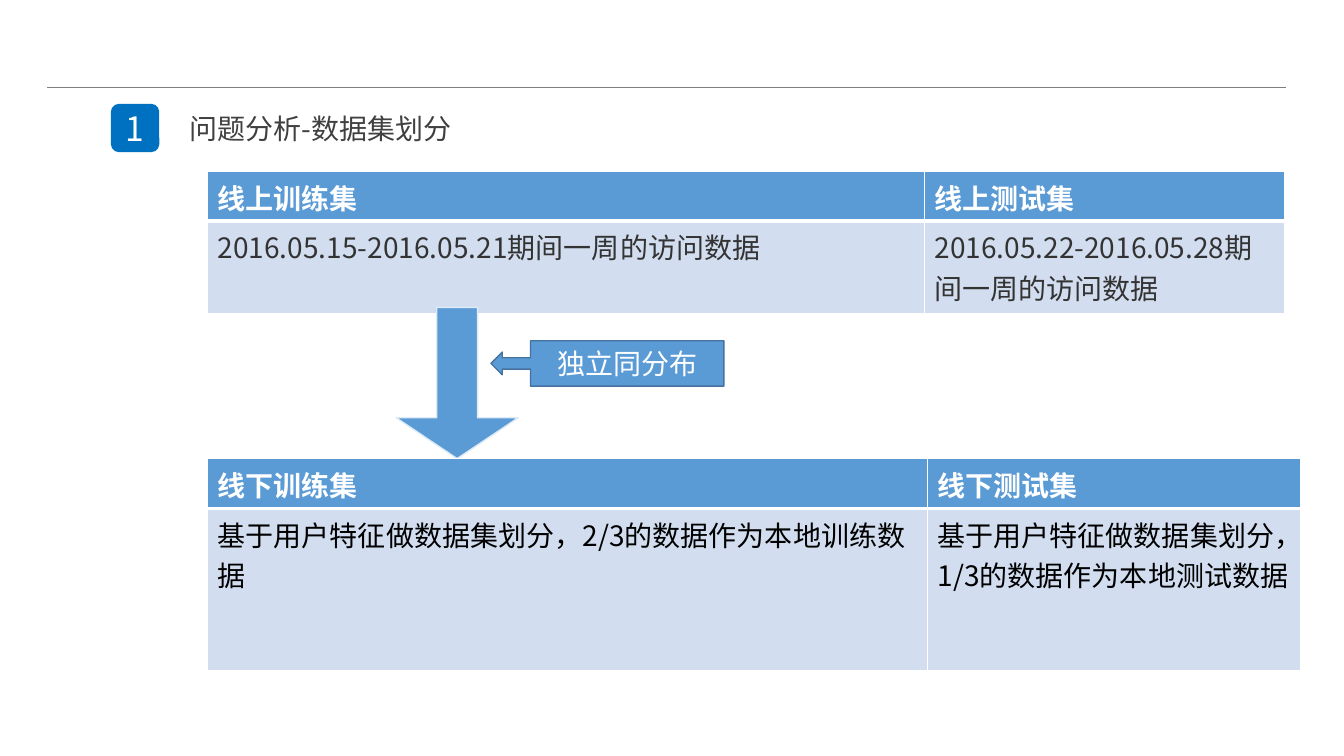
import pptx
import pptx.dml.color
import pptx.enum.shapes
import pptx.enum.text
import pptx.oxml
import pptx.oxml.ns
import pptx.util
from lxml import etree

WIDE, HIGH = pptx.util.Inches(13.33), pptx.util.Inches(7.5)
SHAPE = pptx.enum.shapes.MSO_SHAPE
SANS, LATIN = "Noto Sans CJK SC", "Noto Sans CJK JP"
BLUE, PALE, WHITE = "5B9BD5", "D2DEEF", "FFFFFF"
LEFT = 15.45  # shared left edge of both tables and their columns


def col(share):
    """Length for a percentage of the slide width."""
    return round(WIDE * share / 100)


def row(share):
    """Length for a percentage of the slide height."""
    return round(HIGH * share / 100)


def area(x, y, w, h):
    return col(x), row(y), col(w), row(h)


def rgb(code):
    return pptx.dml.color.RGBColor.from_string(code)


def paint(fill, code):
    fill.solid()
    fill.fore_color.rgb = rgb(code)


def write(frame, text, color, size=20, face=SANS, bold=False, center=False):
    frame.text = text
    frame.word_wrap = True
    para = frame.paragraphs[0]
    if center:
        para.alignment = pptx.enum.text.PP_ALIGN.CENTER
    for run in para.runs:
        font = run.font
        font.name, font.size, font.bold = face, pptx.util.Pt(size), bold
        font.color.rgb = rgb(color)
        east = etree.SubElement(font._element, pptx.oxml.ns.qn("a:ea"))
        east.set("typeface", face)


def add_rule(slide, x1, x2, y, color):
    line = slide.shapes.add_connector(
        pptx.enum.shapes.MSO_CONNECTOR.STRAIGHT, col(x1), row(y), col(x2), row(y))
    line.line.color.rgb = rgb(color)
    line.line.width = pptx.util.Pt(0.5)
    etree.SubElement(line._element.spPr, pptx.oxml.ns.qn("a:effectLst"))


def add_form(slide, kind, box, fill, edge=None, adjust=(), text="", size=20):
    form = slide.shapes.add_shape(kind, *area(*box))
    form.shadow.inherit = False
    paint(form.fill, fill)
    if edge:
        form.line.color.rgb = rgb(edge)
        form.line.width = pptx.util.Pt(1)
    else:
        form.line.fill.background()
    for index, value in enumerate(adjust):
        form.adjustments[index] = value
    if text:
        write(form.text_frame, text, WHITE, size, center=True)
        form.text_frame.vertical_anchor = pptx.enum.text.MSO_ANCHOR.MIDDLE


def add_title(slide, box, text):
    frame = slide.shapes.add_textbox(*area(*box)).text_frame
    write(frame, text, "404040")
    frame.vertical_anchor = pptx.enum.text.MSO_ANCHOR.MIDDLE


def set_edges(cell, top, bottom):
    """Draw white cell borders; top and bottom are widths in points."""
    props = cell._tc.get_or_add_tcPr()
    for side, width in (("L", 1), ("R", 1), ("T", top), ("B", bottom)):
        edge = etree.SubElement(props, pptx.oxml.ns.qn(f"a:ln{side}"))
        edge.set("w", str(pptx.util.Pt(width)))
        fill = etree.SubElement(edge, pptx.oxml.ns.qn("a:solidFill"))
        etree.SubElement(fill, pptx.oxml.ns.qn("a:srgbClr")).set("val", WHITE)


def add_grid(slide, y, widths, heights, heads, bodies, color, face):
    box = area(LEFT, y, sum(widths), sum(heights))
    table = slide.shapes.add_table(2, len(widths), *box).table
    for column, width in zip(table.columns, widths):
        column.width = col(width)
    for line, height in zip(table.rows, heights):
        line.height = row(height)
    for index, (head, body) in enumerate(zip(heads, bodies)):
        top, low = table.cell(0, index), table.cell(1, index)
        set_edges(top, 1, 3)
        set_edges(low, 3, 1)
        paint(top.fill, BLUE)
        paint(low.fill, PALE)
        write(top.text_frame, head, WHITE, bold=True)
        write(low.text_frame, body, color, face=face)


def main():
    deck = pptx.Presentation()
    deck.slide_width, deck.slide_height = WIDE, HIGH
    slide = deck.slides.add_slide(deck.slide_layouts[6])

    add_rule(slide, 3.53, 95.65, 11.6, "7F7F7F")
    add_form(slide, SHAPE.ROUNDED_RECTANGLE, (8.25, 13.73, 3.6, 6.4), "0070C0",
             text="1", size=24)
    add_title(slide, (13.35, 13.33, 23.18, 7.2), "问题分析-数据集划分")
    add_grid(slide, 22.67, (53.34, 26.78), (6.6, 12.2),
             ("线上训练集", "线上测试集"),
             ("2016.05.15-2016.05.21期间一周的访问数据",
              "2016.05.22-2016.05.28期间一周的访问数据"), "333333", LATIN)
    add_form(slide, SHAPE.DOWN_ARROW, (29.48, 40.67, 9.08, 20), BLUE, "DEEBF7",
             (0.335, 0.335))
    add_form(slide, SHAPE.LEFT_ARROW_CALLOUT, (36.53, 45.07, 17.33, 6), BLUE,
             "43739E", (0.25, 0.25, 0.25, 0.83), "独立同分布")
    add_grid(slide, 60.67, (53.56, 27.76), (6.6, 21.4),
             ("线下训练集", "线下测试集"),
             ("基于用户特征做数据集划分，2/3的数据作为本地训练数据",
              "基于用户特征做数据集划分，1/3的数据作为本地测试数据"), "000000", SANS)
    deck.save("out.pptx")


if __name__ == "__main__":
    main()
